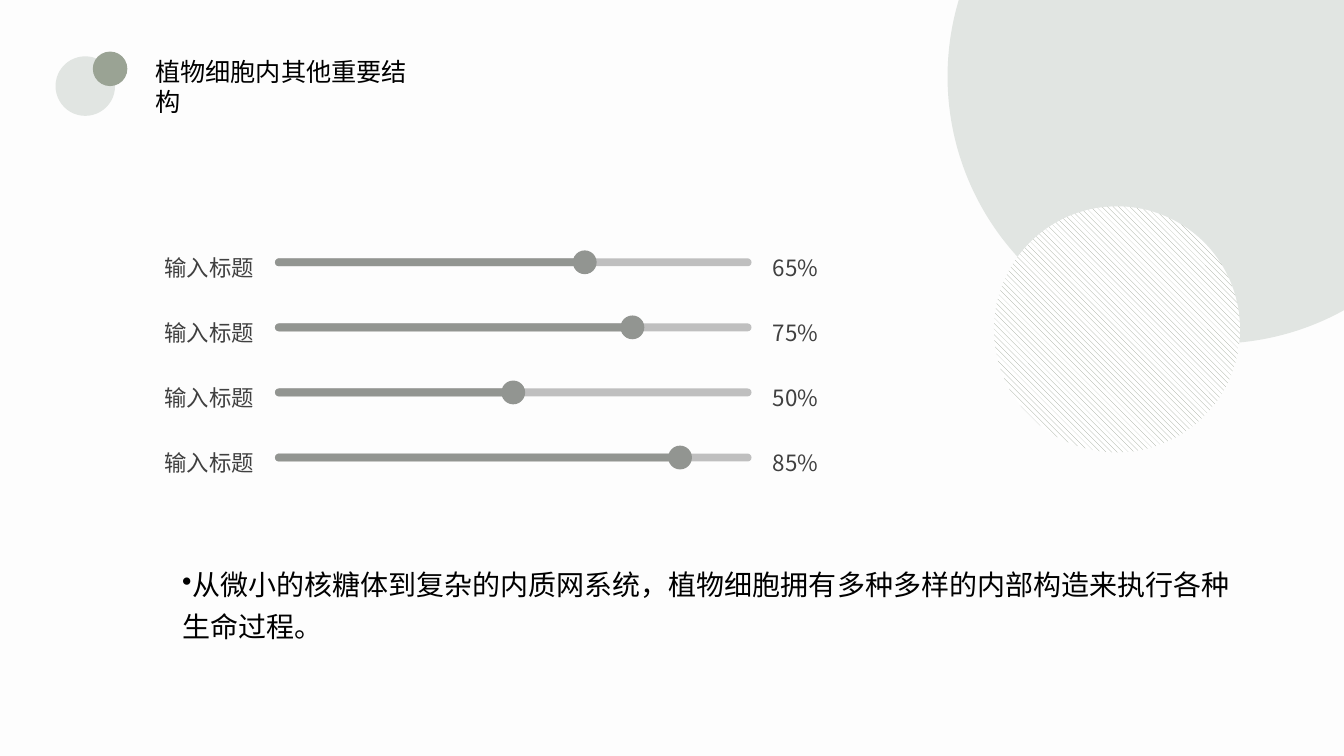
from lxml import etree
from pptx import Presentation
from pptx.dml.color import RGBColor
from pptx.enum.dml import MSO_PATTERN
from pptx.enum.shapes import MSO_SHAPE
from pptx.enum.text import PP_ALIGN
from pptx.oxml.ns import qn
from pptx.util import Cm, Pt

OVAL, ROUNDED = MSO_SHAPE.OVAL, MSO_SHAPE.ROUNDED_RECTANGLE
HATCH = MSO_PATTERN.WIDE_DOWNWARD_DIAGONAL
LEFT, RIGHT = PP_ALIGN.LEFT, PP_ALIGN.RIGHT
PALE, SAGE, TRACK, FILLED = "E1E5E2", "9AA394", "BFBFBF", "929591"
CJK_FONT, BODY_FONT = "Noto Sans CJK SC", "Karla"
LEVELS = [65, 75, 50, 85]


def color(value):
    return RGBColor.from_string(value)


def add_solid(page, kind, left, top, width, height, fill):
    shape = page.shapes.add_shape(kind, Cm(left), Cm(top), Cm(width), Cm(height))
    shape.shadow.inherit = False
    shape.line.fill.background()
    shape.fill.solid()
    shape.fill.fore_color.rgb = color(fill)
    return shape


def add_text(page, box, text, size, ink, font=CJK_FONT, bullet=None, wrap=True, **layout):
    left, top, width, height = box
    frame = page.shapes.add_textbox(Cm(left), Cm(top), Cm(width), Cm(height)).text_frame
    frame.word_wrap = wrap
    para = frame.paragraphs[0]
    for name, value in layout.items():
        setattr(para, name, value)
    if bullet:
        properties = para._p.get_or_add_pPr()
        etree.SubElement(properties, qn("a:buChar")).set("char", bullet)
    span = para.add_run()
    span.text = text
    for name, value in {"size": Pt(size), "name": font}.items():
        setattr(span.font, name, value)
    span.font.color.rgb = color(ink)
    east_asian = etree.SubElement(span.font._element, qn("a:ea"))
    east_asian.set("typeface", CJK_FONT)


def add_header(page, left, top):
    add_solid(page, OVAL, left, top + 0.12, 1.5, 1.5, PALE)
    add_solid(page, OVAL, left + 0.94, top, 0.87, 0.87, SAGE)
    add_text(page, (left + 2.26, top, 7.34, 1.63), "植物细胞内其他重要结构", 18, "000000")


def add_slider(page, left, top, percent):
    bar_left, bar_top, bar_width, bar_height = left + 3.07, top + 0.41, 12.01, 0.2
    knob = 0.6
    reach = bar_width * percent / 100
    for width, fill in ((bar_width, TRACK), (reach + bar_height / 2, FILLED)):
        bar = add_solid(page, ROUNDED, bar_left, bar_top, width, bar_height, fill)
        bar.adjustments[0] = 0.5
    add_solid(page, OVAL, bar_left + reach - knob / 2,
              bar_top + (bar_height - knob) / 2, knob, knob, FILLED)
    layout = {"line_spacing": 1.25, "space_after": Pt(8), "wrap": False}
    add_text(page, (left, top, 2.79, 1.04), "输入标题", 16, "404040", alignment=RIGHT, **layout)
    add_text(page, (left + 15.37, top, 1.68, 1.04), f"{percent}%", 16, "404040",
             alignment=LEFT, **layout)


def add_sliders(page, left, top, pitch):
    for row, percent in enumerate(LEVELS):
        add_slider(page, left, top + row * pitch, percent)


def add_summary(page, box):
    add_text(page, box, "从微小的核糖体到复杂的内质网系统，植物细胞拥有多种多样的内部构造来执行各种生命过程。",
             20, "000000", BODY_FONT, bullet="•", line_spacing=1.25)


def add_corner_circles(page, left, top):
    add_solid(page, OVAL, left, top, 13.46, 13.46, PALE)
    hatched = add_solid(page, OVAL, left + 1.17, top + 10, 6.2, 6.2, "FFFFFF")
    hatched.fill.patterned()
    hatched.fill.pattern = HATCH
    hatched.fill.fore_color.rgb = color(SAGE)
    hatched.fill.back_color.rgb = color("FFFFFF")


def main():
    deck = Presentation()
    deck.slide_width, deck.slide_height = Cm(33.87), Cm(19.05)
    page = deck.slides.add_slide(deck.slide_layouts[6])
    page.background.fill.solid()
    page.background.fill.fore_color.rgb = color("FDFDFD")
    add_header(page, 1.4, 1.3)
    add_sliders(page, 3.86, 6.1, 1.64)
    add_summary(page, (4.34, 13.97, 27.51, 1.96))
    add_corner_circles(page, 23.88, -4.8)
    deck.save("out.pptx")


if __name__ == "__main__":
    main()
